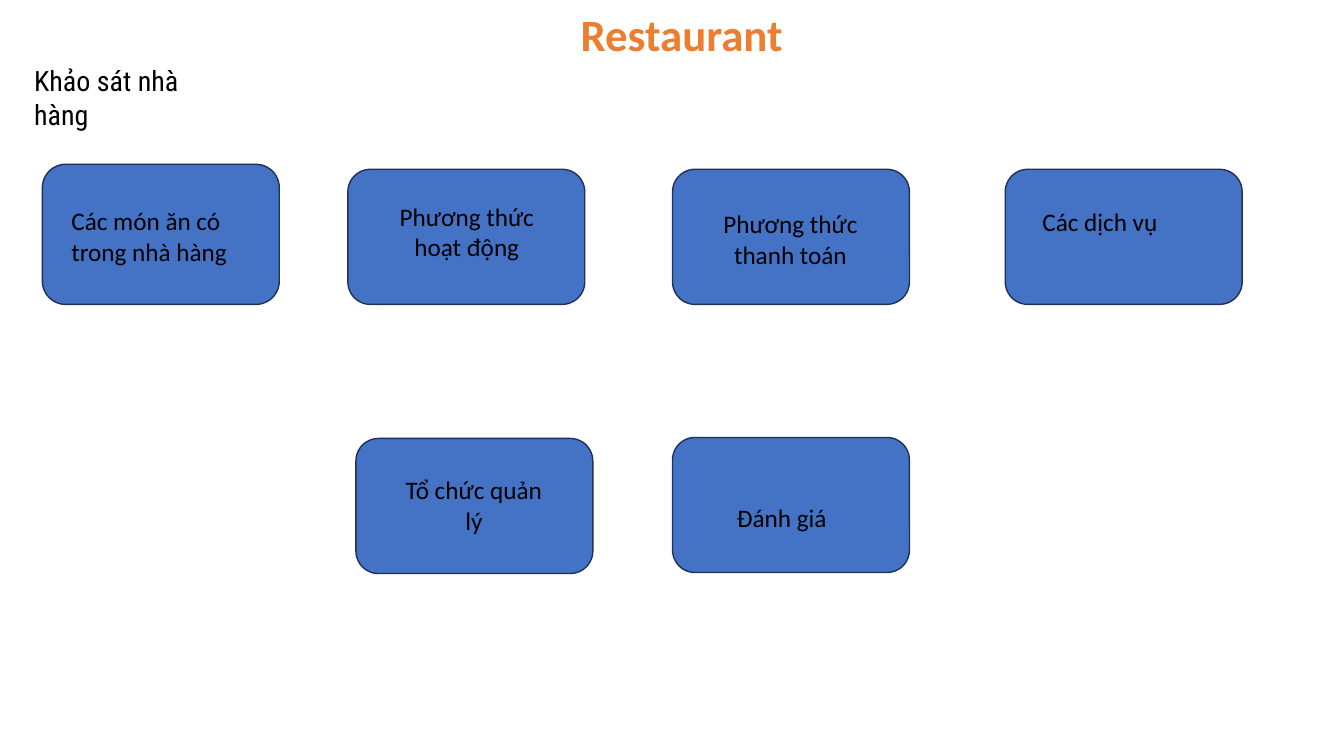
from pptx import Presentation
from pptx.dml.color import RGBColor
from pptx.enum.shapes import MSO_SHAPE
from pptx.enum.text import PP_ALIGN
from pptx.util import Inches, Pt

COLORS = {"title": "ED7D31", "text": "000000", "card": "4472C4", "border": "1E3256"}

prs = Presentation()
prs.slide_width, prs.slide_height = Inches(13.33), Inches(7.5)
s = prs.slides.add_slide(prs.slide_layouts[6])


def add_text(box, text, size, font="Calibri", color="text", bold=False, align=PP_ALIGN.LEFT):
    tf = s.shapes.add_textbox(*[Inches(v) for v in box]).text_frame
    tf.word_wrap = True
    p = tf.paragraphs[0]
    p.text = text
    p.alignment = align
    p.font.size = Pt(size)
    p.font.name = font
    p.font.bold = bold
    p.font.color.rgb = RGBColor.from_string(COLORS[color])


# Headings
add_text((5.66, 0.02, 2.97, 0.64), "Restaurant", 32, color="title", bold=True)
add_text((0.24, 0.58, 1.98, 0.44), "Khảo sát nhà hàng", 20, font="Roboto Condensed")

# Survey topics: card left, top, height; label box; label; alignment
LEFT, CENTER = PP_ALIGN.LEFT, PP_ALIGN.CENTER
CARD_WIDTH = 2.35
topics = [
    (0.42, 1.63, 1.39, (0.61, 1.99, 2.03, 0.71), "Các món ăn có trong nhà hàng", LEFT),
    (3.45, 1.68, 1.34, (3.77, 1.95, 1.72, 0.71), "Phương thức hoạt động", CENTER),
    (6.67, 1.68, 1.34, (6.84, 2.02, 2, 0.71), "Phương thức thanh toán", CENTER),
    (9.97, 1.68, 1.34, (10.24, 2, 1.73, 0.4), "Các dịch vụ", LEFT),
    (3.53, 4.35, 1.34, (3.92, 4.66, 1.56, 0.71), "Tổ chức quản lý", CENTER),
    (6.67, 4.34, 1.34, (7.21, 4.93, 1.32, 0.4), "Đánh giá", LEFT),
]
for left, top, height, label_box, label, align in topics:
    sp = s.shapes.add_shape(MSO_SHAPE.ROUNDED_RECTANGLE, Inches(left), Inches(top),
                            Inches(CARD_WIDTH), Inches(height))
    sp.shadow.inherit = False
    sp.fill.solid()
    sp.fill.fore_color.rgb = RGBColor.from_string(COLORS["card"])
    sp.line.color.rgb = RGBColor.from_string(COLORS["border"])
    sp.line.width = Pt(1)
    add_text(label_box, label, 18, align=align)

prs.save("out.pptx")
